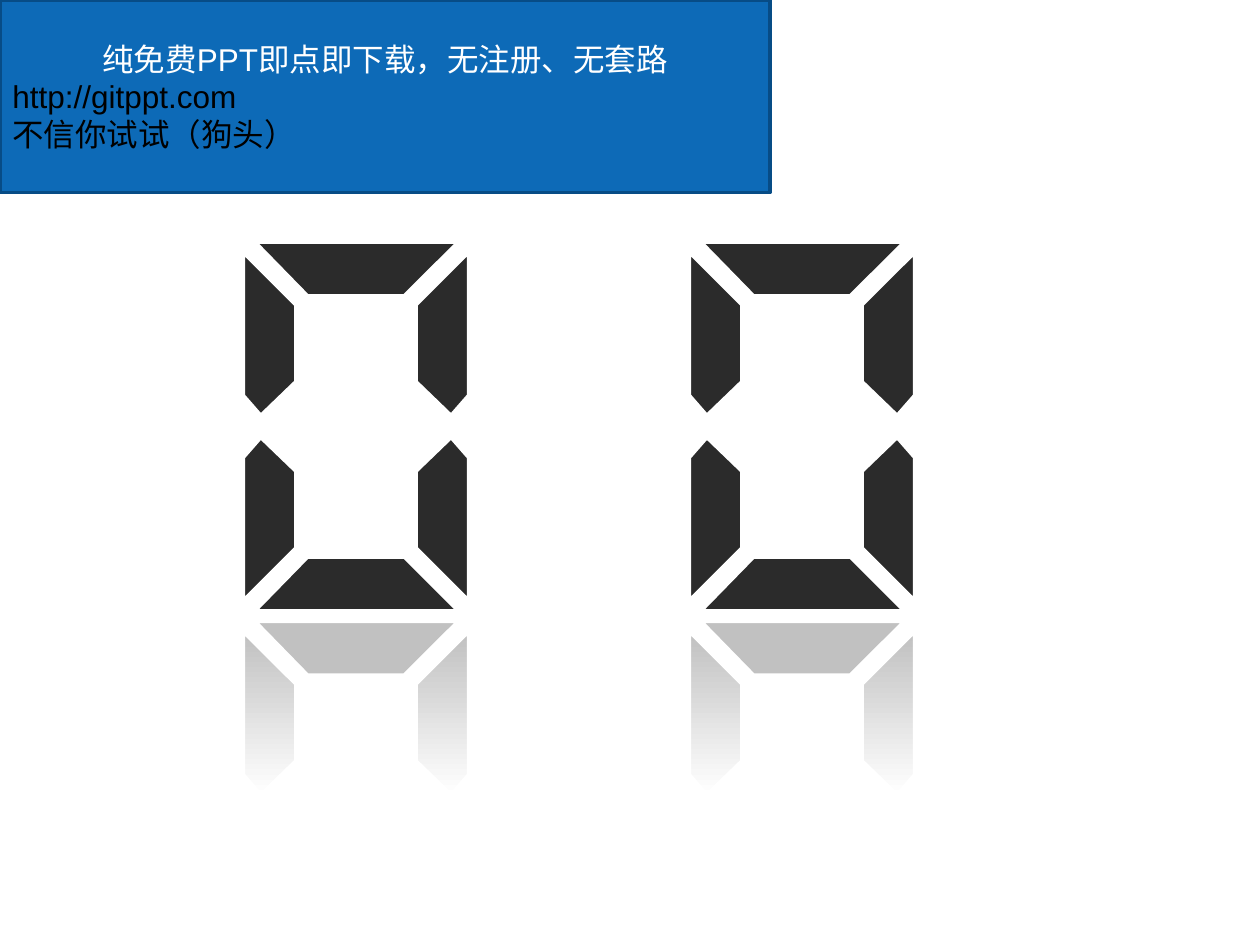
"""Two seven-segment zeros with fading reflections, below a notice banner."""
from typing import NamedTuple

from pptx import Presentation, util as u
from pptx.dml.color import RGBColor
from pptx.enum import shapes, text

COLUMNS, ROWS = 1000, 750
CELL = u.Inches(10) // COLUMNS
DIGIT_WIDTH, DIGIT_HEIGHT = 179, 293
DIGIT_TOP, REFLECTION_DROP = 192, 301
FIRST_DIGIT, DIGIT_PITCH = 193, 354
CAP = ((9, 0), (51, 43), (128, 43), (171, 0))
SIDE = ((0, 8), (42, 50), (42, 111), (14, 138), (0, 122))
DARK, PALE, FADE, WHITE = "2B2B2B", "C1C1C1", "C0C0C0", "FFFFFF"


class Segment(NamedTuple):
    """One bar of a digit: outline, mirroring, vertical shift and fill colours."""
    outline: tuple
    colours: tuple
    flip_x: bool = False
    flip_y: bool = False
    drop: int = 0


class Line(NamedTuple):
    """One line of the banner."""
    wording: str
    colour: str
    align: text.PP_ALIGN


def half(cap: tuple, side: tuple, flip_y: bool = False, drop: int = 0) -> list[Segment]:
    """Return the cap and both sides of half a digit."""
    return [Segment(CAP, cap, False, flip_y, drop),
            *(Segment(SIDE, side, flip_x, flip_y, drop) for flip_x in (False, True))]


ZERO = [*half((DARK,), (DARK,)),
        *half((DARK,), (DARK,), flip_y=True),
        *half((PALE,), (WHITE, FADE), drop=REFLECTION_DROP)]
NOTICE = [Line("纯免费PPT即点即下载，无注册、无套路", WHITE, text.PP_ALIGN.CENTER),
          Line("http://gitppt.com", "000000", text.PP_ALIGN.LEFT),
          Line("不信你试试（狗头）", "000000", text.PP_ALIGN.LEFT)]


def rgb(colour: str) -> RGBColor:
    """Turn a hex string into a colour."""
    return RGBColor.from_string(colour)


def paint(shape, colours: tuple, line: str, width: float) -> None:
    """Give a shape a solid fill, or a fade upwards, and an outline."""
    shape.shadow.inherit = False
    if len(colours) == 1:
        shape.fill.solid()
        shape.fill.fore_color.rgb = rgb(colours[0])
    else:
        shape.fill.gradient()
        shape.fill.gradient_angle = 90
        for stop, colour, position in zip(shape.fill.gradient_stops, colours, (0, 1)):
            stop.color.rgb = rgb(colour)
            stop.position = position
    shape.line.color.rgb = rgb(line)
    shape.line.width = u.Pt(width)


def draw_segment(digit, segment: Segment, left: int) -> None:
    """Draw one bar inside a digit group."""
    corners = []
    for x, y in segment.outline:
        column = left + (DIGIT_WIDTH - x if segment.flip_x else x)
        row = DIGIT_TOP + segment.drop + (DIGIT_HEIGHT - y if segment.flip_y else y)
        corners.append((column * CELL, row * CELL))
    builder = digit.shapes.build_freeform(*corners[0], scale=1.0)
    builder.add_line_segments(corners[1:], close=True)
    paint(builder.convert_to_shape(), segment.colours, WHITE, 2.25)


def draw_banner(slide, columns: int, rows: int) -> None:
    """Draw the notice in the top left corner."""
    banner = slide.shapes.add_shape(
        shapes.MSO_SHAPE.RECTANGLE, 0, 0, columns * CELL, rows * CELL)
    paint(banner, ("0D6AB7",), "074C86", 2)
    frame = banner.text_frame
    frame.word_wrap = True
    frame.vertical_anchor = text.MSO_ANCHOR.MIDDLE
    frame.text = "\n".join(line.wording for line in NOTICE)
    for paragraph, line in zip(frame.paragraphs, NOTICE):
        paragraph.alignment = line.align
        for run in paragraph.runs:
            run.font.name = "Arial"
            run.font.size = u.Pt(18)
            run.font.color.rgb = rgb(line.colour)


def main() -> None:
    """Build and save the slide."""
    deck = Presentation()
    deck.slide_width, deck.slide_height = COLUMNS * CELL, ROWS * CELL
    slide = deck.slides.add_slide(deck.slide_layouts[6])
    for place in range(2):
        digit = slide.shapes.add_group_shape()
        for segment in ZERO:
            draw_segment(digit, segment, FIRST_DIGIT + place * DIGIT_PITCH)
    draw_banner(slide, 611, 153)
    deck.save("out.pptx")


if __name__ == "__main__":
    main()
